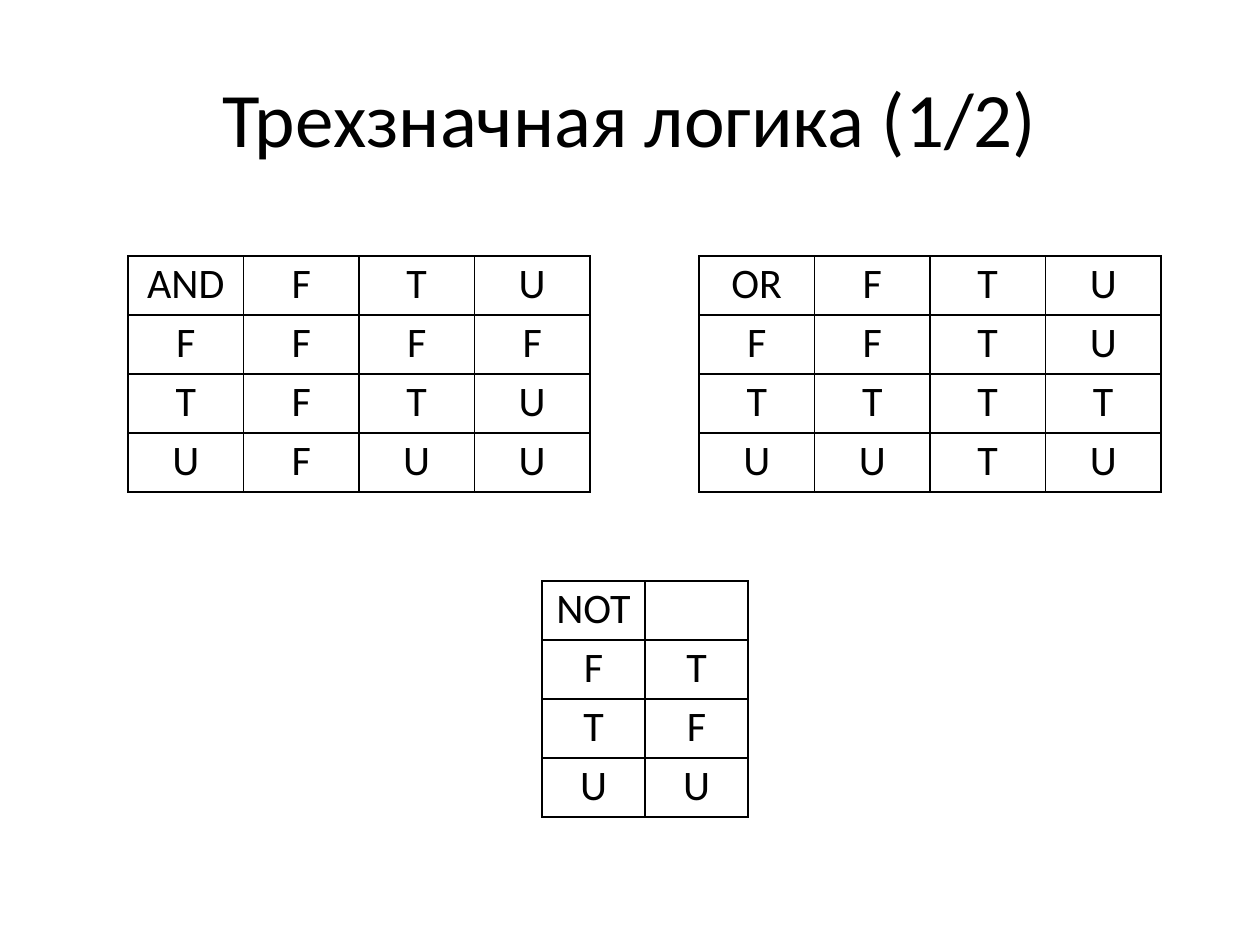
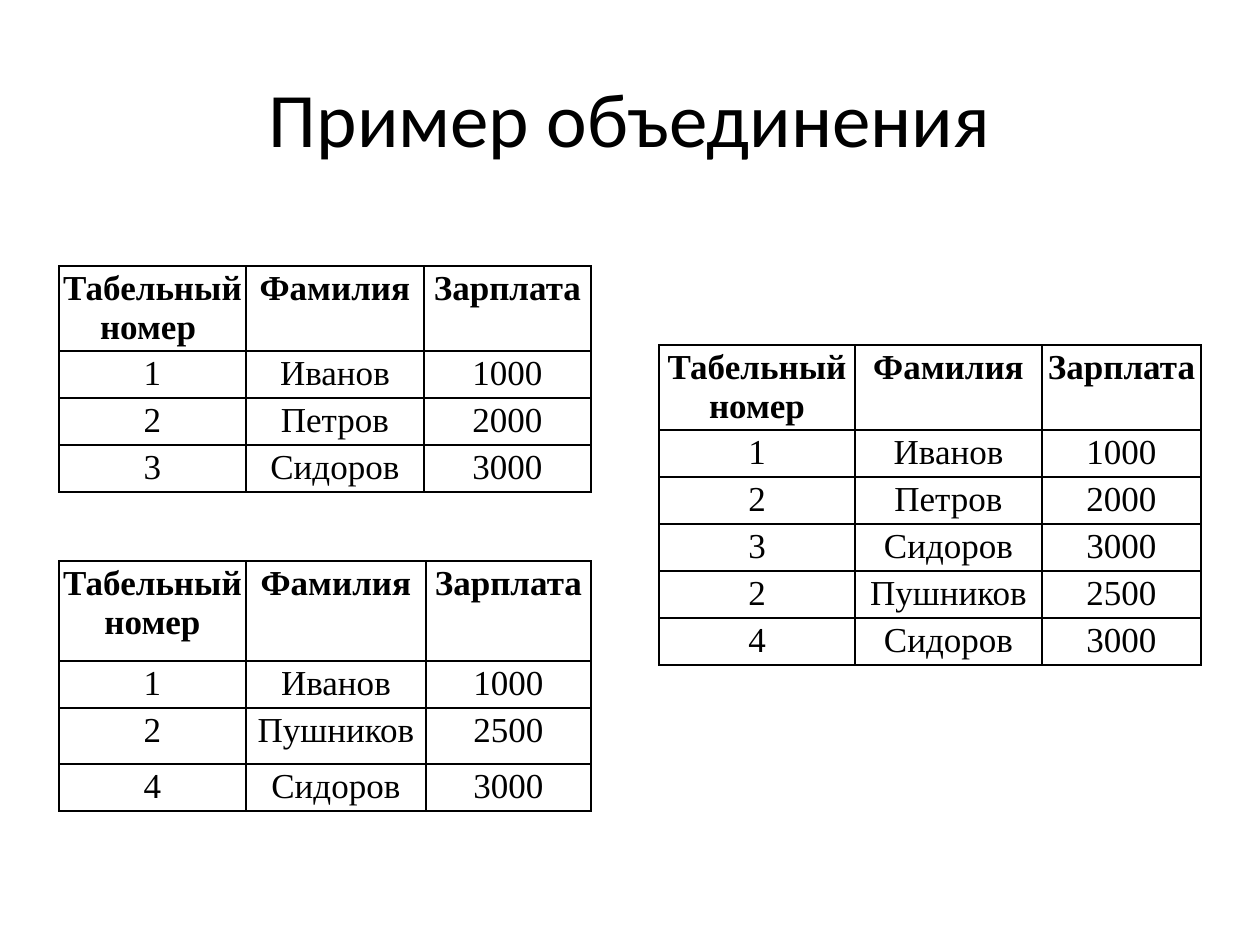
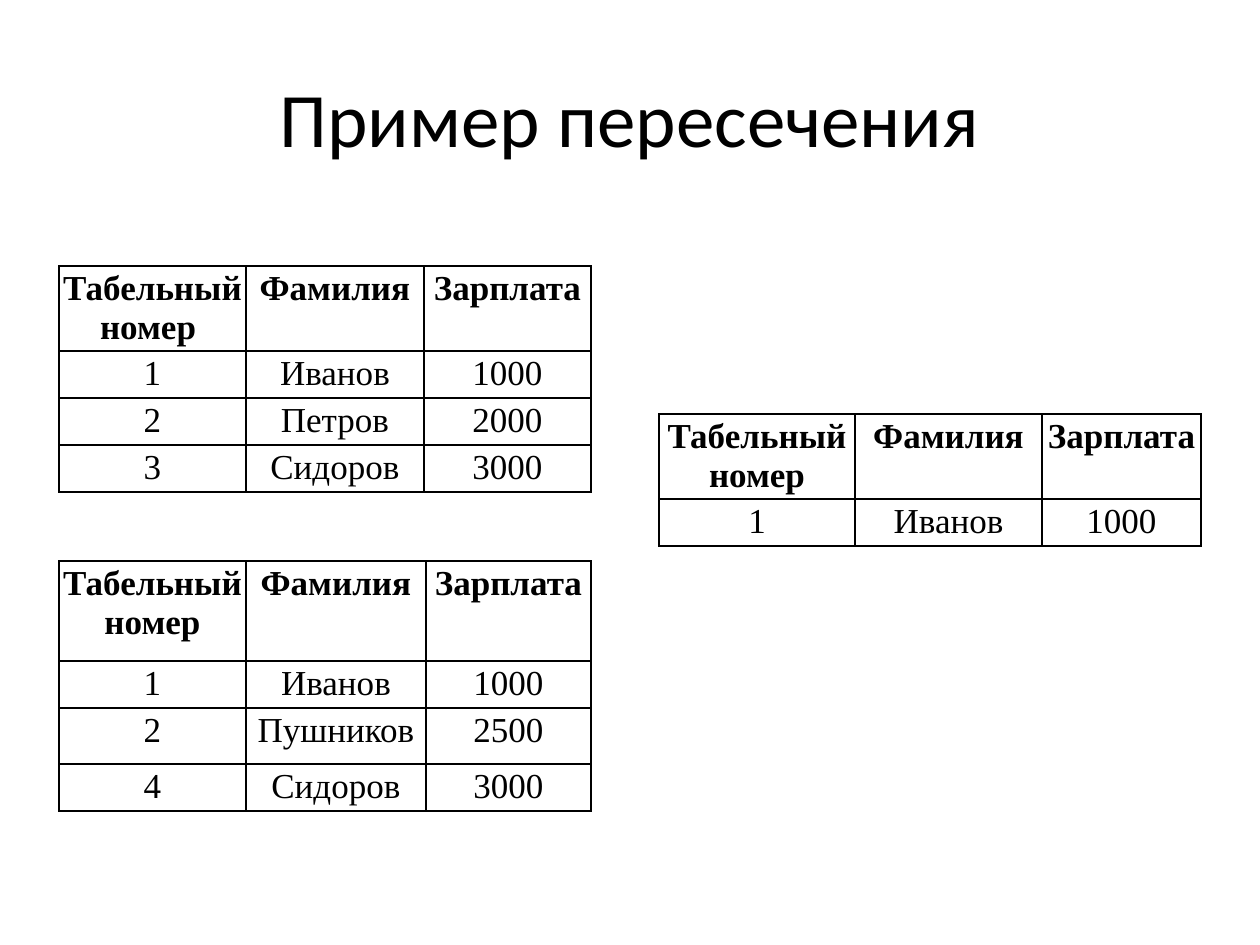
from lxml import etree
from pptx import Presentation
from pptx import util as u
from pptx.dml.color import RGBColor
from pptx.enum import text
from pptx.oxml.ns import qn

PX = u.Inches(1) / 126
COLORS = {"ink": "000000"}
TITLE_FONT, TABLE_FONT = "Calibri", "Times New Roman"
TITLE_ONLY = 5
CELL_INSET = 3
LOGIC_ROW = 59
HEADER_ROW, RECORD_ROW = 85, 47

IVANOV = ("1", "Иванов", "1000")
PETROV = ("2", "Петров", "2000")
SIDOROV_3 = ("3", "Сидоров", "3000")
PUSHNIKOV = ("2", "Пушников", "2500")
SIDOROV_4 = ("4", "Сидоров", "3000")


def px(length):
    return u.Emu(round(length * PX))


def add_run(paragraph, words, font, size, bold=False):
    paragraph.alignment = text.PP_ALIGN.CENTER
    run = paragraph.add_run()
    run.text = words
    run.font.name, run.font.size, run.font.bold = font, u.Pt(size), bold
    run.font.color.rgb = RGBColor.from_string(COLORS["ink"])


def add_titled_slide(deck, words):
    slide = deck.slides.add_slide(deck.slide_layouts[TITLE_ONLY])
    title = slide.shapes.title
    title.left, title.top, title.width, title.height = map(px, (63, 38, 1134, 157))
    title.text_frame.vertical_anchor = text.MSO_ANCHOR.MIDDLE
    add_run(title.text_frame.paragraphs[0], words, TITLE_FONT, 44)
    return slide


def outline_cell(cell):
    properties = cell._tc.get_or_add_tcPr()
    for side in ("a:lnL", "a:lnR", "a:lnT", "a:lnB"):
        border = etree.SubElement(properties, qn(side), w=str(u.Pt(1)))
        fill = etree.SubElement(border, qn("a:solidFill"))
        etree.SubElement(fill, qn("a:srgbClr"), val=COLORS["ink"])


def add_grid(slide, left, top, widths, heights, rows, font, size, bold_header=False):
    """Add a plain ruled table with centred text."""
    table = slide.shapes.add_table(
        len(rows), len(widths), px(left), px(top), px(sum(widths)), px(sum(heights))
    ).table
    table.first_row = table.horz_banding = False
    for column, width in zip(table.columns, widths):
        column.width = px(width)
    for row, height, values in zip(table.rows, heights, rows):
        row.height = px(height)
        is_header = bold_header and values is rows[0]
        for cell, value in zip(row.cells, values):
            outline_cell(cell)
            cell.fill.background()
            cell.margin_left = cell.margin_right = px(CELL_INSET)
            cell.margin_top = cell.margin_bottom = px(CELL_INSET)
            if value:
                add_run(cell.text_frame.paragraphs[0], value, font, size, is_header)


def add_truth_table(slide, left, top, width, rows):
    columns = len(rows[0])
    add_grid(slide, left, top, [width / columns] * columns,
             [LOGIC_ROW] * len(rows), rows, TITLE_FONT, 24)


def add_staff_table(slide, left, top, widths, records, heights=None,
                    number_label="Табельный номер"):
    heights = heights or [HEADER_ROW] + [RECORD_ROW] * len(records)
    rows = [(number_label, "Фамилия", "Зарплата"), *records]
    add_grid(slide, left, top, widths, heights, rows, TABLE_FONT, 20, bold_header=True)


def add_set_example(deck, title, result_top, result):
    """Show the two operand tables on the left and the result on the right."""
    slide = add_titled_slide(deck, title)
    add_staff_table(slide, 59, 266, (187, 178, 167), (IVANOV, PETROV, SIDOROV_3),
                    number_label="Табельный номер ")
    add_staff_table(slide, 59, 561, (187, 180, 165), (IVANOV, PUSHNIKOV, SIDOROV_4),
                    heights=(100, RECORD_ROW, 56, RECORD_ROW))
    add_staff_table(slide, 659, result_top, (196, 187, 159), result)


def main():
    deck = Presentation()
    deck.slide_width, deck.slide_height = px(1260), px(945)

    logic = add_titled_slide(deck, "Трехзначная логика (1/2)")
    add_truth_table(logic, 128, 256, 462,
                    (("AND", "F", "T", "U"), "FFFF", "TFTU", "UFUU"))
    add_truth_table(logic, 699, 256, 462,
                    (("OR", "F", "T", "U"), "FFTU", "TTTT", "UUTU"))
    add_truth_table(logic, 542, 581, 206, (("NOT", ""), "FT", "TF", "UU"))

    add_set_example(deck, "Пример объединения", 345,
                    (IVANOV, PETROV, SIDOROV_3, PUSHNIKOV, SIDOROV_4))
    add_set_example(deck, "Пример пересечения", 414, (IVANOV,))
    deck.save("out.pptx")


if __name__ == "__main__":
    main()
